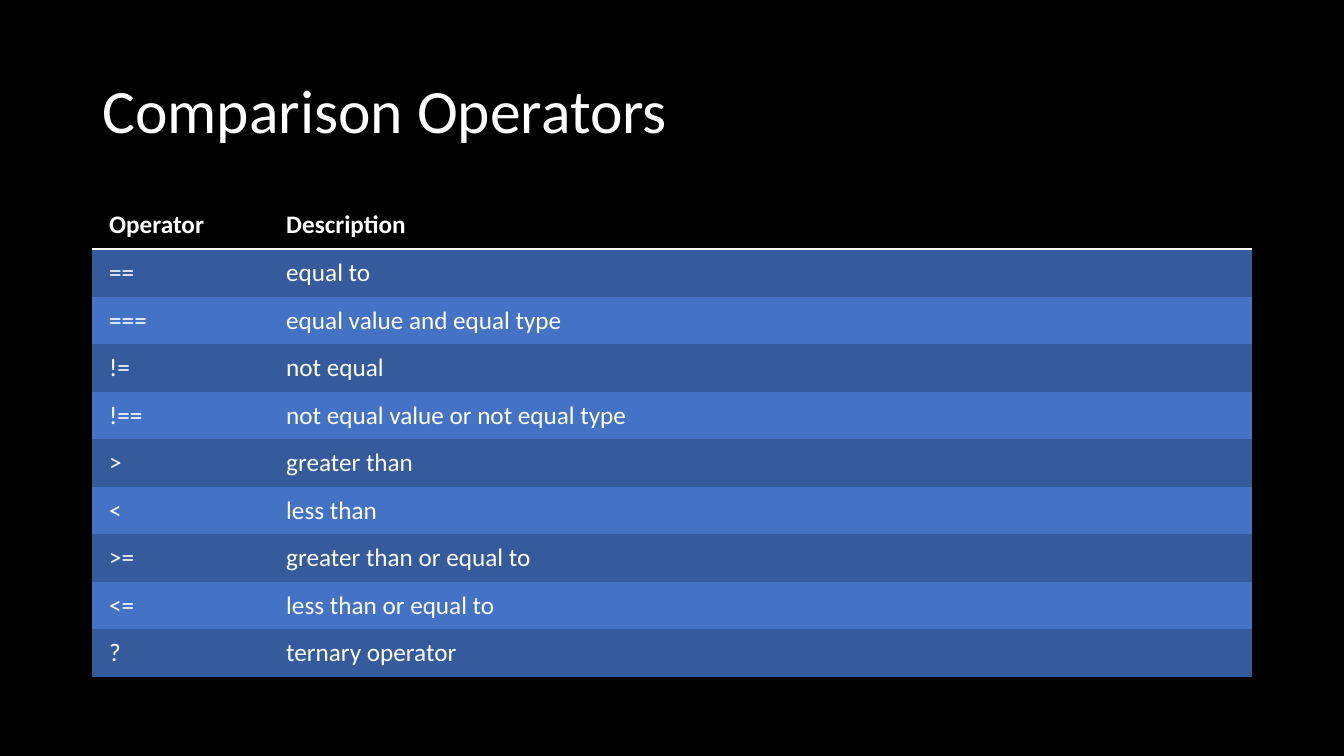
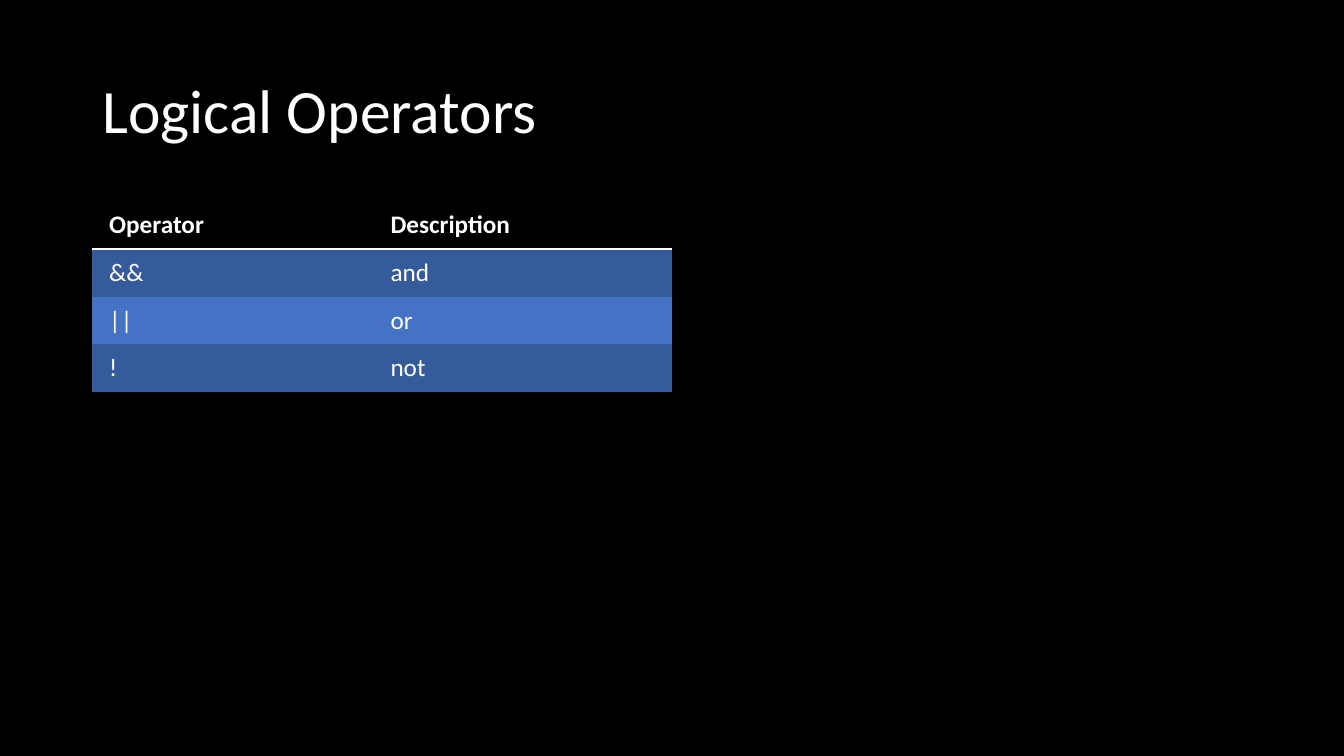
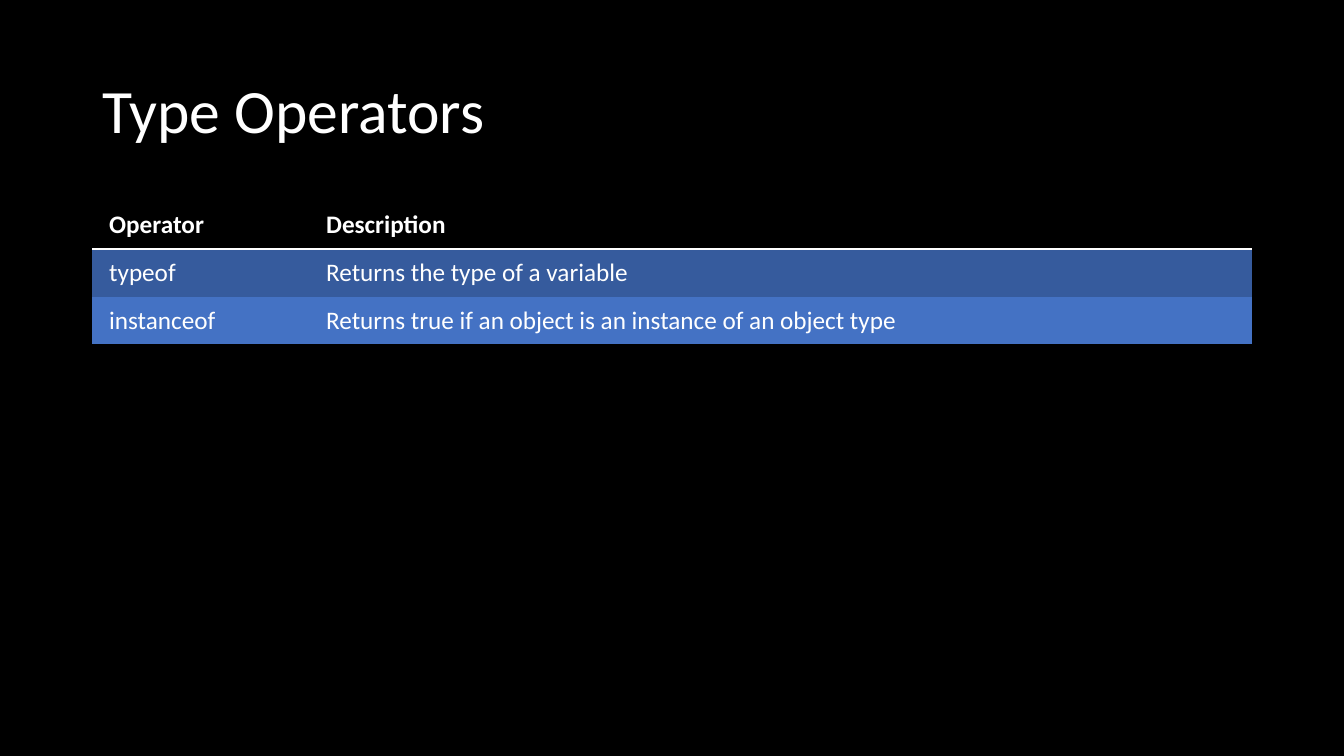
import pptx
import pptx.dml.color
import pptx.enum.text
import pptx.oxml
import pptx.oxml.ns
import pptx.util

Pt = pptx.util.Pt

FONT = "Calibri"
BLACK, WHITE = "000000", "FFFFFF"
BANDS = ("365B9D", "4472C4")
LEFT, FULL_WIDTH = 66, 828
TITLE_TOP, TITLE_HEIGHT = 28.75, 104.4
TABLE_TOP, ROW_HEIGHT = 144, 33.6
CELL_MARGIN, FIRST_CELL_MARGIN = 6, 12
RULE_WIDTH = 2
HEADER = ("Operator", "Description")


def paint(color_format, hex_color):
    """Set a colour from a hex string."""
    color_format.rgb = pptx.dml.color.RGBColor.from_string(hex_color)


def fill_solid(fill, hex_color):
    """Make a fill solid in one colour."""
    fill.solid()
    paint(fill.fore_color, hex_color)


def write_text(frame, text, size=18, bold=False, color=WHITE, line_spacing=None):
    """Write one left-aligned paragraph with its format."""
    paragraph = frame.paragraphs[0]
    paragraph.alignment = pptx.enum.text.PP_ALIGN.LEFT
    paragraph.line_spacing = line_spacing
    run = paragraph.add_run()
    run.text = text
    run.font.name = FONT
    run.font.size = Pt(size)
    run.font.bold = bold
    paint(run.font.color, color)


def set_borders(cell, ruled_side=None):
    """Clear the cell borders, except for a white rule on one side."""
    properties = cell._tc.get_or_add_tcPr()
    namespace = pptx.oxml.ns.nsdecls("a")
    for side in ("lnL", "lnR", "lnT", "lnB"):
        if side == ruled_side:
            width = int(Pt(RULE_WIDTH))
            line = f'<a:solidFill><a:srgbClr val="{WHITE}"/></a:solidFill>'
        else:
            width, line = 0, "<a:noFill/>"
        properties.append(pptx.oxml.parse_xml(
            f'<a:{side} {namespace} w="{width}">{line}</a:{side}>'))


class Deck:
    """Holds the presentation style and the current slide."""

    def __init__(self):
        """Start a widescreen presentation on a black background."""
        self.presentation = pptx.Presentation()
        self.presentation.slide_width = Pt(960)
        self.presentation.slide_height = Pt(540)
        fill_solid(self.presentation.slide_master.background.fill, BLACK)
        self.slide = None

    def add_slide(self, title):
        """Add a title-only slide and format its title."""
        layout = self.presentation.slide_layouts.get_by_name("Title Only")
        self.slide = self.presentation.slides.add_slide(layout)
        shape = self.slide.shapes.title
        shape.left, shape.top = Pt(LEFT), Pt(TITLE_TOP)
        shape.width, shape.height = Pt(FULL_WIDTH), Pt(TITLE_HEIGHT)
        frame = shape.text_frame
        frame.auto_size = pptx.enum.text.MSO_AUTO_SIZE.NONE
        frame.vertical_anchor = pptx.enum.text.MSO_ANCHOR.MIDDLE
        write_text(frame, title, size=44, line_spacing=0.9)

    def add_operator_table(self, operators, first_width, width=FULL_WIDTH):
        """Add a banded table of operators under a ruled header row."""
        rows = [HEADER, *operators]
        table = self.slide.shapes.add_table(
            len(rows), len(HEADER), Pt(LEFT), Pt(TABLE_TOP),
            Pt(width), Pt(ROW_HEIGHT * len(rows))).table
        table.horz_banding = False
        table.columns[0].width = Pt(first_width)
        table.columns[1].width = Pt(width - first_width)
        for row_index, row in enumerate(rows):
            table.rows[row_index].height = Pt(ROW_HEIGHT)
            for column_index, text in enumerate(row):
                self.format_cell(table.cell(row_index, column_index), text,
                                 row_index, column_index)

    def format_cell(self, cell, text, row_index, column_index):
        """Write a cell and style it by its row and column."""
        is_header = row_index == 0
        cell.margin_left = Pt(CELL_MARGIN if column_index else FIRST_CELL_MARGIN)
        cell.margin_right = cell.margin_top = cell.margin_bottom = Pt(CELL_MARGIN)
        set_borders(cell, {0: "lnB", 1: "lnT"}.get(row_index))
        fill_solid(cell.fill, BLACK if is_header else BANDS[(row_index - 1) % 2])
        write_text(cell.text_frame, text, bold=is_header)


deck = Deck()

deck.add_slide("Comparison Operators")
deck.add_operator_table([
    ("==", "equal to"),
    ("===", "equal value and equal type"),
    ("!=", "not equal"),
    ("!==", "not equal value or not equal type"),
    (">", "greater than"),
    ("<", "less than"),
    (">=", "greater than or equal to"),
    ("<=", "less than or equal to"),
    ("?", "ternary operator"),
], first_width=132.5)

deck.add_slide("Logical Operators")
deck.add_operator_table([
    ("&&", "and"),
    ("||", "or"),
    ("!", "not"),
], first_width=207, width=414)

deck.add_slide("Type Operators")
deck.add_operator_table([
    ("typeof", "Returns the type of a variable"),
    ("instanceof", "Returns true if an object is an instance of an object type"),
], first_width=161)

deck.presentation.save("out.pptx")
